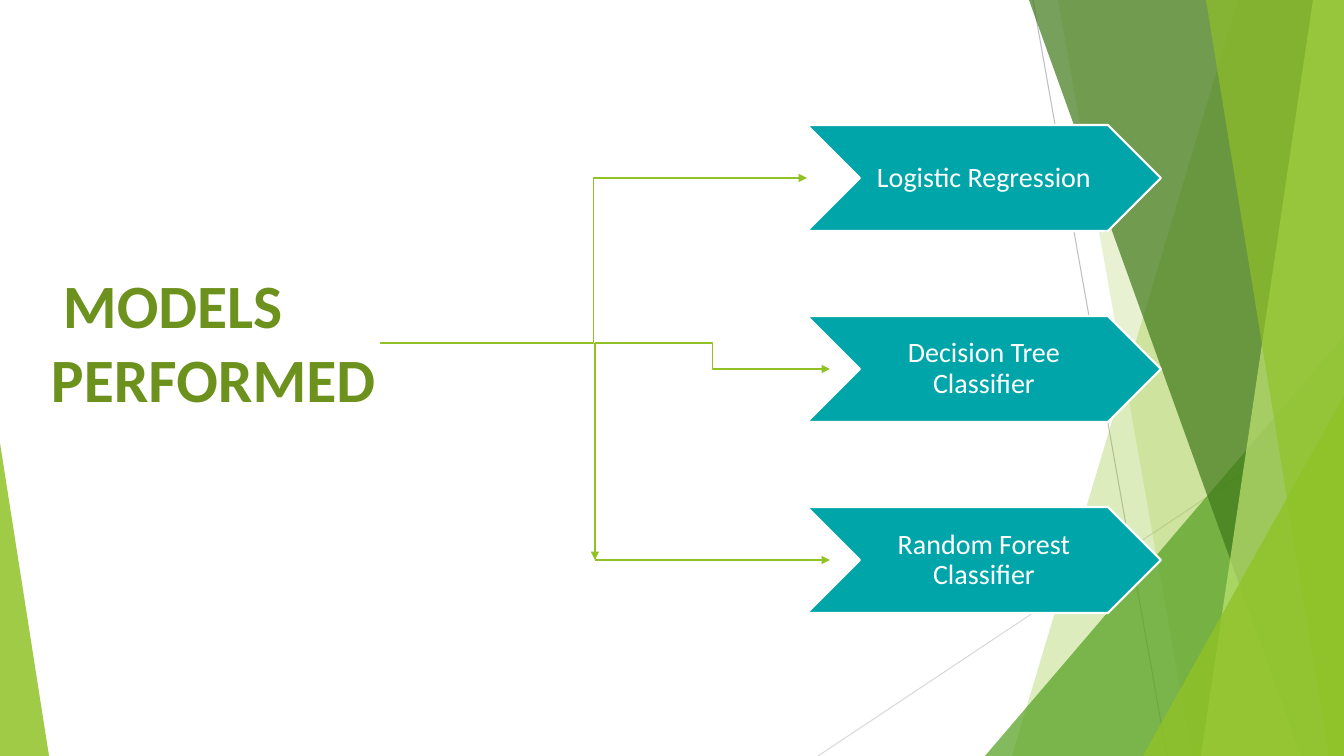
import pptx
import pptx.dml.color
import pptx.enum.shapes
import pptx.enum.text
import pptx.oxml.ns
import pptx.util
from lxml import etree

WIDTH, HEIGHT = 1344, 756
SCALE = 914400 / 100.8
FONT = "Calibri"
COLORS = {
    "title": "6C921D",
    "lime": "90C226",
    "pale": "C0E474",
    "green": "54A021",
    "dark": "3F7819",
    "teal": "00A5AA",
    "white": "FFFFFF",
    "grey": "BFBFBF",
    "light_grey": "D9D9D9",
}
MODELS = ["Logistic Regression", "Decision Tree Classifier", "Random Forest Classifier"]
SHAPES = pptx.enum.shapes.MSO_SHAPE
CONNECTORS = pptx.enum.shapes.MSO_CONNECTOR
ALIGN = pptx.enum.text.PP_ALIGN
ANCHOR = pptx.enum.text.MSO_ANCHOR


def emu(px):
    return pptx.util.Emu(round(px * SCALE))


def rgb(name):
    return pptx.dml.color.RGBColor.from_string(COLORS[name])


def add_child(parent, tag, **attributes):
    return etree.SubElement(parent, pptx.oxml.ns.qn(tag), attributes)


def paint(shape, color, opacity=100):
    """Give a borderless fill, opacity in percent."""
    shape.shadow.inherit = False
    shape.line.fill.background()
    shape.fill.solid()
    shape.fill.fore_color.rgb = rgb(color)
    if opacity < 100:
        fill = shape.fill.fore_color._xFill
        add_child(fill[0], "a:alpha", val=str(opacity * 1000))


def set_font(para, size, color, bold=False):
    para.font.name = FONT
    para.font.size = pptx.util.Pt(size)
    para.font.bold = bold
    para.font.color.rgb = rgb(color)


def add_band(page, top_x, bottom_x, color, opacity):
    """Fill from a slanted left edge to the right side of the slide."""
    builder = page.shapes.build_freeform(top_x, 0, SCALE)
    builder.add_line_segments([(WIDTH, 0), (WIDTH, HEIGHT), (bottom_x, HEIGHT)])
    paint(builder.convert_to_shape(), color, opacity)


def add_corner(page, left, top, width, apex, color, opacity):
    """Stand a triangle on the bottom edge; apex is 0 for left, 1 for right."""
    corner = page.shapes.add_shape(
        SHAPES.ISOSCELES_TRIANGLE, emu(left), emu(top), emu(width), emu(HEIGHT - top))
    corner.adjustments[0] = apex
    paint(corner, color, opacity)


def add_line(page, start, end, color, weight, kind=CONNECTORS.STRAIGHT, arrow=False):
    line = page.shapes.add_connector(kind, *map(emu, start + end))
    line.line.color.rgb = rgb(color)
    line.line.width = pptx.util.Pt(weight)
    if arrow:
        add_child(line.line._get_or_add_ln(), "a:tailEnd", type="triangle")
    add_child(line._element.spPr, "a:effectLst")


def add_backdrop(page):
    add_line(page, (1033, 0), (1167, HEIGHT), "grey", 0.75)
    add_line(page, (WIDTH, 406), (818, HEIGHT), "light_grey", 0.75)
    add_band(page, 1238, 1012, "lime", 30)
    add_band(page, 1058, 1192, "lime", 20)
    add_corner(page, 985, 336, 359, 1, "green", 72)
    add_band(page, 1029, 1301, "dark", 70)
    add_band(page, 1313, 1201, "pale", 70)
    add_band(page, 1206, 1329, "lime", 65)
    add_corner(page, 1143, 396, 201, 1, "lime", 80)
    add_corner(page, 0, 443, 49, 0, "lime", 85)


def set_title(page, text):
    title = page.shapes.title
    title.left, title.top, title.width, title.height = map(emu, (51, 262, 340, 159))
    frame = title.text_frame
    frame.text = text
    frame.word_wrap = True
    frame.auto_size = pptx.enum.text.MSO_AUTO_SIZE.NONE
    frame.vertical_anchor = ANCHOR.TOP
    frame.margin_left = frame.margin_right = 0
    para = frame.paragraphs[0]
    para.alignment = ALIGN.LEFT
    para._p.get_or_add_pPr().set("indent", str(emu(12)))
    set_font(para, 44, "title", bold=True)


def add_model(page, top, name):
    chevron = page.shapes.add_shape(
        SHAPES.CHEVRON, emu(807), emu(top), emu(354), emu(106))
    paint(chevron, "teal")
    chevron.line.color.rgb = rgb("white")
    chevron.line.width = pptx.util.Pt(1.5)
    frame = chevron.text_frame
    frame.word_wrap = True
    frame.vertical_anchor = ANCHOR.MIDDLE
    frame.margin_left = frame.margin_right = frame.margin_top = frame.margin_bottom = 0
    frame.text = name
    para = frame.paragraphs[0]
    para.alignment = ALIGN.CENTER
    para.line_spacing = 0.9
    set_font(para, 20, "white")


def add_arrow(page, start, end, kind=CONNECTORS.STRAIGHT):
    add_line(page, start, end, "lime", 1, kind, arrow=True)


def main():
    deck = pptx.Presentation()
    deck.slide_width, deck.slide_height = emu(WIDTH), emu(HEIGHT)
    page = deck.slides.add_slide(deck.slide_layouts[5])
    add_backdrop(page)
    set_title(page, "MODELS PERFORMED")
    for row, name in enumerate(MODELS):
        add_model(page, 125 + 191 * row, name)

    fork, corner = (595, 343), (595, 560)
    add_arrow(page, (380, 343), (807, 178), CONNECTORS.ELBOW)
    add_arrow(page, fork, (830, 369), CONNECTORS.ELBOW)
    add_arrow(page, corner, (830, 560))
    add_arrow(page, fork, corner)
    deck.save("out.pptx")


if __name__ == "__main__":
    main()
